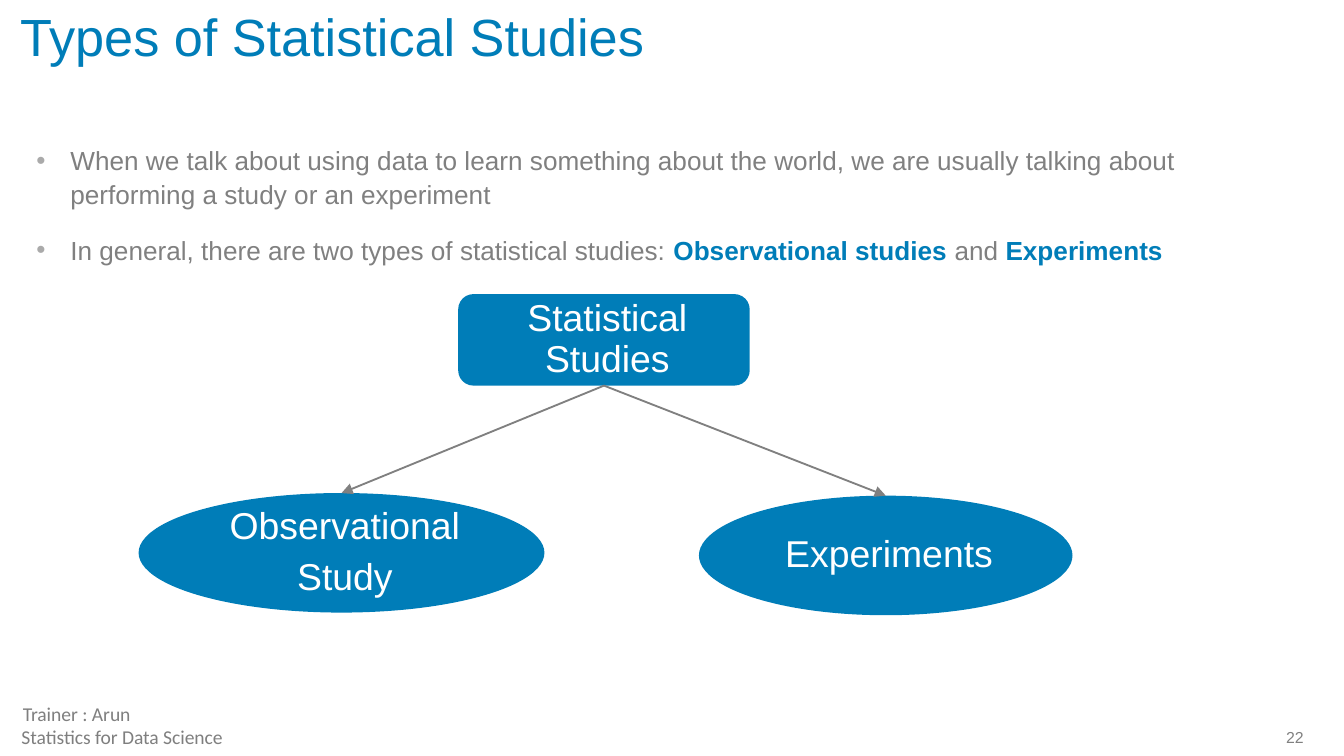
import pptx
import pptx.dml.color
import pptx.enum.shapes
import pptx.enum.text
import pptx.oxml.ns
import pptx.util
from lxml import etree
from pptx.util import Cm

BLUE = pptx.dml.color.RGBColor(0x00, 0x7D, 0xB8)
GREY = pptx.dml.color.RGBColor(0x80, 0x80, 0x80)
FOOTER_GREY = pptx.dml.color.RGBColor(0x7F, 0x7F, 0x7F)
BULLET_GREY = pptx.dml.color.RGBColor(0xAA, 0xAA, 0xAA)
WHITE = pptx.dml.color.RGBColor(0xFF, 0xFF, 0xFF)

ALIGN = pptx.enum.text.PP_ALIGN
ANCHOR = pptx.enum.text.MSO_ANCHOR
SHAPE = pptx.enum.shapes.MSO_SHAPE

NODE_FRAME = dict(word_wrap=True, vertical_anchor=ANCHOR.MIDDLE,
                  margin_left=Cm(0.51), margin_top=Cm(0.38),
                  margin_right=Cm(0.38), margin_bottom=Cm(0.38))
TITLE_FRAME = dict(word_wrap=True, vertical_anchor=ANCHOR.TOP,
                   margin_left=0, margin_top=Cm(0.13),
                   margin_right=0, margin_bottom=Cm(0.13))
PLAIN_FRAME = dict(margin_left=0, margin_top=0, margin_right=0, margin_bottom=0)
BODY_FRAME = PLAIN_FRAME | dict(word_wrap=True, vertical_anchor=ANCHOR.TOP)
FOOTER_FRAME = PLAIN_FRAME | dict(word_wrap=True, vertical_anchor=ANCHOR.MIDDLE)
NUMBER_FRAME = FOOTER_FRAME | dict(word_wrap=False)


def set_values(target, values):
    for name, value in values.items():
        setattr(target, name, value)


def style_font(font, size, color, name="Arial", bold=False):
    set_values(font, dict(size=pptx.util.Pt(size), name=name, bold=bold))
    font.color.rgb = color


def add_child(parent, tag, **attributes):
    return etree.SubElement(parent, pptx.oxml.ns.qn(tag), attributes)


def add_bullet(paragraph, indent):
    properties = paragraph._p.get_or_add_pPr()
    properties.set("marL", str(indent))
    properties.set("indent", str(-indent))
    add_child(add_child(properties, "a:buClr"), "a:srgbClr", val=str(BULLET_GREY))
    add_child(properties, "a:buFont", typeface="Arial")
    add_child(properties, "a:buChar", char="•")


def add_title(slide, text):
    title = slide.shapes.title
    set_values(title, dict(left=Cm(0.38), top=Cm(0.08), width=Cm(22.1), height=Cm(1.78)))
    frame = title.text_frame
    frame.text = text
    set_values(frame, TITLE_FRAME)
    set_values(frame.paragraphs[0], dict(alignment=ALIGN.LEFT, line_spacing=0.9))
    style_font(frame.paragraphs[0].font, 28, BLUE)


def add_bullets(slide, bullets, box):
    """Each bullet is a list of (text, emphasised) pairs."""
    frame = slide.shapes.add_textbox(*box).text_frame
    set_values(frame, BODY_FRAME)
    for index, pieces in enumerate(bullets):
        paragraph = frame.add_paragraph() if index else frame.paragraphs[0]
        add_bullet(paragraph, Cm(0.64))
        paragraph.line_spacing = 1.07
        if index:
            paragraph.space_before = pptx.util.Pt(12)
        for text, emphasised in pieces:
            run = paragraph.add_run()
            run.text = text
            style_font(run.font, 14, BLUE if emphasised else GREY, bold=emphasised)


def add_node(slide, preset, text, box):
    node = slide.shapes.add_shape(preset, *box)
    node.shadow.inherit = False
    node.fill.solid()
    node.fill.fore_color.rgb = BLUE
    node.line.fill.background()
    frame = node.text_frame
    frame.text = text
    set_values(frame, NODE_FRAME)
    for index, paragraph in enumerate(frame.paragraphs):
        set_values(paragraph, dict(alignment=ALIGN.CENTER, line_spacing=0.9))
        if index:
            paragraph.space_before = pptx.util.Pt(6)
        style_font(paragraph.font, 20, WHITE)
    return node


def add_arrow(slide, parent, child):
    """Join the bottom of the parent to the top of the child."""
    arrow = slide.shapes.add_connector(
        pptx.enum.shapes.MSO_CONNECTOR.STRAIGHT, 0, 0, 0, 0)
    arrow.begin_connect(parent, 2)
    arrow.end_connect(child, 0)
    arrow.line.color.rgb = GREY
    arrow.line.width = pptx.util.Pt(1)
    add_child(arrow.line._get_or_add_ln(), "a:tailEnd", type="triangle")
    add_child(arrow._element.spPr, "a:effectLst")


def add_label(slide, text, box, frame_format, alignment, **font):
    frame = slide.shapes.add_textbox(*box).text_frame
    frame.text = text
    set_values(frame, frame_format)
    frame.paragraphs[0].alignment = alignment
    style_font(frame.paragraphs[0].font, **font)


def main():
    deck = pptx.Presentation()
    deck.slide_width, deck.slide_height = Cm(25.4), Cm(14.29)
    slide = deck.slides.add_slide(deck.slide_layouts[5])

    add_label(slide, "22", (Cm(24.26), Cm(13.77), Cm(0.38), Cm(0.33)),
              NUMBER_FRAME, ALIGN.RIGHT, size=8.5, color=GREY)
    for text, left, top, width in (
            ("Trainer : Arun", -0.2, 13.26, 3.3),
            ("Statistics for Data Science", 0, 13.7, 4.62)):
        add_label(slide, text, (Cm(left), Cm(top), Cm(width), Cm(0.46)),
                  FOOTER_FRAME, ALIGN.CENTER,
                  size=10.5, color=FOOTER_GREY, name="Calibri")

    add_title(slide, "Types of Statistical Studies")
    add_bullets(slide, [
        [("When we talk about using data to learn something about the world, "
          "we are usually talking about performing a study or an experiment", False)],
        [("In general, there are two types of statistical studies: ", False),
         ("Observational studies ", True), ("and ", False), ("Experiments", True)],
    ], (Cm(0.69), Cm(2.69), Cm(23.16), Cm(8.89)))

    observational = add_node(slide, SHAPE.OVAL, "Observational\nStudy",
                             (Cm(2.62), Cm(9.32), Cm(7.67), Cm(2.26)))
    experiments = add_node(slide, SHAPE.OVAL, "Experiments",
                           (Cm(13.21), Cm(9.37), Cm(7.06), Cm(2.26)))
    studies = add_node(slide, SHAPE.ROUNDED_RECTANGLE, "Statistical Studies",
                       (Cm(8.66), Cm(5.56), Cm(5.51), Cm(1.73)))
    for kind in (observational, experiments):
        add_arrow(slide, studies, kind)

    deck.save("out.pptx")


if __name__ == "__main__":
    main()
